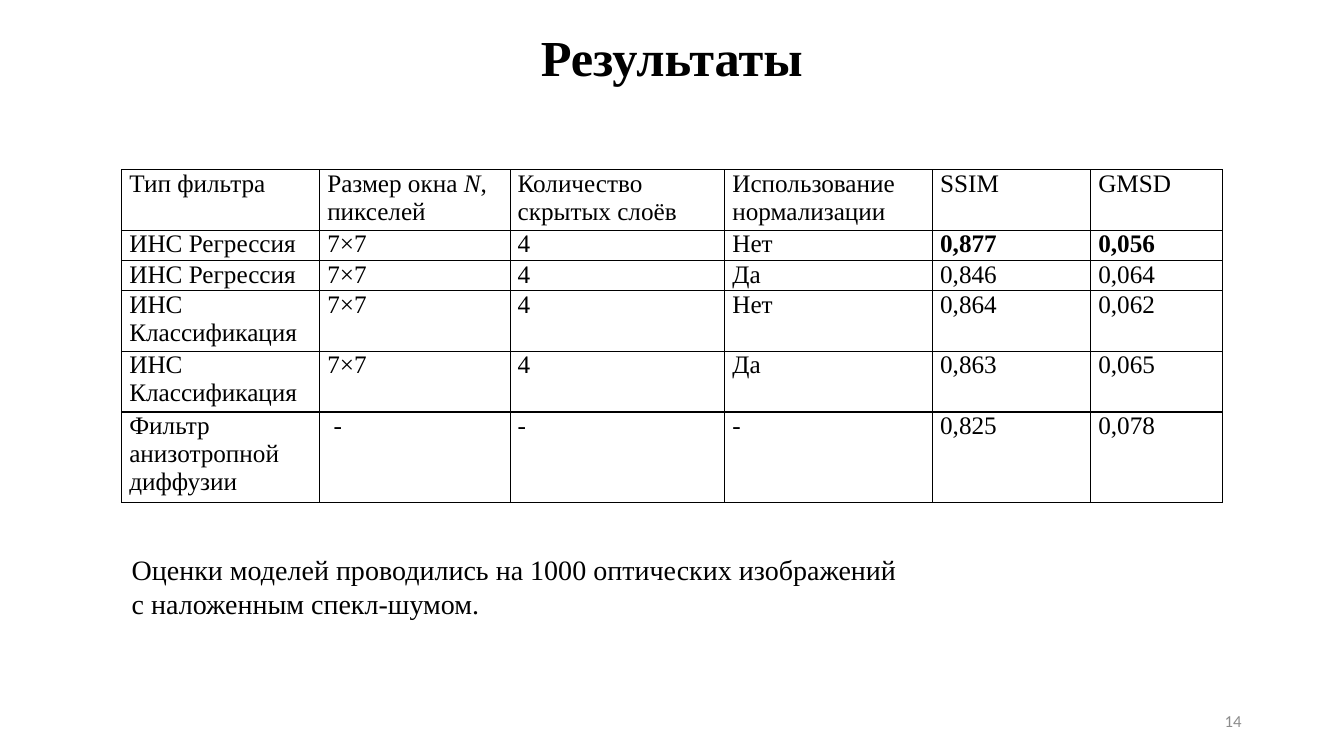
from lxml import etree
from pptx import Presentation
from pptx import util as u
from pptx.dml import color
from pptx.enum import text
from pptx.oxml import ns

HEX = {"ink": "000000", "gray": "8C8C8C"}
SERIF = "Times New Roman"


def write(frame, runs, size=18, font=SERIF, tone="ink", bold=False,
          align=text.PP_ALIGN.LEFT, lead=None):
    """Fill a text frame; runs is a string or a list of (string, italic)."""
    if isinstance(runs, str):
        runs = [(runs, False)]
    para = frame.paragraphs[0]
    para.alignment = align
    if lead:
        para.line_spacing = lead
    for words, slant in runs:
        run = para.add_run()
        run.text = words
        face = run.font
        face.name, face.size = font, u.Pt(size)
        face.bold, face.italic = bold, slant
        face.color.rgb = color.RGBColor.from_string(HEX[tone])


class Deck:
    def __init__(self, wide, high):
        self.prs = Presentation()
        self.prs.slide_width, self.prs.slide_height = u.Pt(wide), u.Pt(high)
        self.slide = self.prs.slides.add_slide(self.prs.slide_layouts[5])

    def title(self, words, left, top, wide, high):
        head = self.slide.shapes.title
        head.left, head.top = u.Pt(left), u.Pt(top)
        head.width, head.height = u.Pt(wide), u.Pt(high)
        head.text_frame.vertical_anchor = text.MSO_ANCHOR.MIDDLE
        write(head.text_frame, words, size=36, bold=True,
              align=text.PP_ALIGN.CENTER, lead=0.9)

    def note(self, words, left, top, wide, high,
             anchor=text.MSO_ANCHOR.TOP, **style):
        box = self.slide.shapes.add_textbox(*map(u.Pt, (left, top, wide, high)))
        box.text_frame.word_wrap = True
        box.text_frame.vertical_anchor = anchor
        write(box.text_frame, words, **style)

    def edge(self, cell):
        props = cell._tc.get_or_add_tcPr()
        for spot, side in enumerate(("lnL", "lnR", "lnT", "lnB")):
            line = etree.Element(ns.qn("a:" + side), w=str(u.Pt(1)))
            fill = etree.SubElement(line, ns.qn("a:solidFill"))
            etree.SubElement(fill, ns.qn("a:srgbClr"), val=HEX["ink"])
            props.insert(spot, line)

    def table(self, rows, cols, lines, left, top, step=20):
        grid = self.slide.shapes.add_table(
            len(rows), len(cols), u.Pt(left), u.Pt(top),
            u.Pt(sum(cols)), u.Pt(step * sum(lines))).table
        grid.first_row = grid.horz_banding = False
        for col, wide in zip(grid.columns, cols):
            col.width = u.Pt(wide)
        for r, (row, count) in enumerate(zip(rows, lines)):
            grid.rows[r].height = u.Pt(step * count)
            for c, words in enumerate(row):
                cell = grid.cell(r, c)
                cell.margin_left = cell.margin_right = u.Pt(5.4)
                cell.margin_top = cell.margin_bottom = 0
                cell.fill.background()
                self.edge(cell)
                write(cell.text_frame, words, bold=words in BEST)


# Table contents
BEST = ("0,877", "0,056")
ROWS = [
    ["Тип фильтра",
     [("Размер окна ", False), ("N", True), (", пикселей", False)],
     "Количество скрытых слоёв", "Использование нормализации", "SSIM", "GMSD"],
    ["ИНС Регрессия", "7×7", "4", "Нет", "0,877", "0,056"],
    ["ИНС Регрессия", "7×7", "4", "Да", "0,846", "0,064"],
    ["ИНС Классификация", "7×7", "4", "Нет", "0,864", "0,062"],
    ["ИНС Классификация", "7×7", "4", "Да", "0,863", "0,065"],
    ["Фильтр анизотропной диффузии", " -", "-", "- ", "0,825", "0,078"],
]
COLS = [141.4, 136, 153.4, 148.4, 113, 94.2]
LINES = [2, 1, 1, 2, 2, 3]


def main():
    deck = Deck(960, 540)

    # Slide number
    deck.note("14", 678, 500.5, 216, 28.8, anchor=text.MSO_ANCHOR.MIDDLE,
              size=12, font="Calibri", tone="gray", align=text.PP_ALIGN.RIGHT)

    # Filter scores
    deck.table(ROWS, COLS, LINES, 87, 121.3)

    # Title and remark
    deck.title("Результаты", 83.5, 8, 792.7, 70)
    deck.note("Оценки моделей проводились на 1000 оптических изображений "
              "с наложенным спекл-шумом.", 87, 391, 571.7, 55.7, size=20)

    deck.prs.save("out.pptx")


if __name__ == "__main__":
    main()
